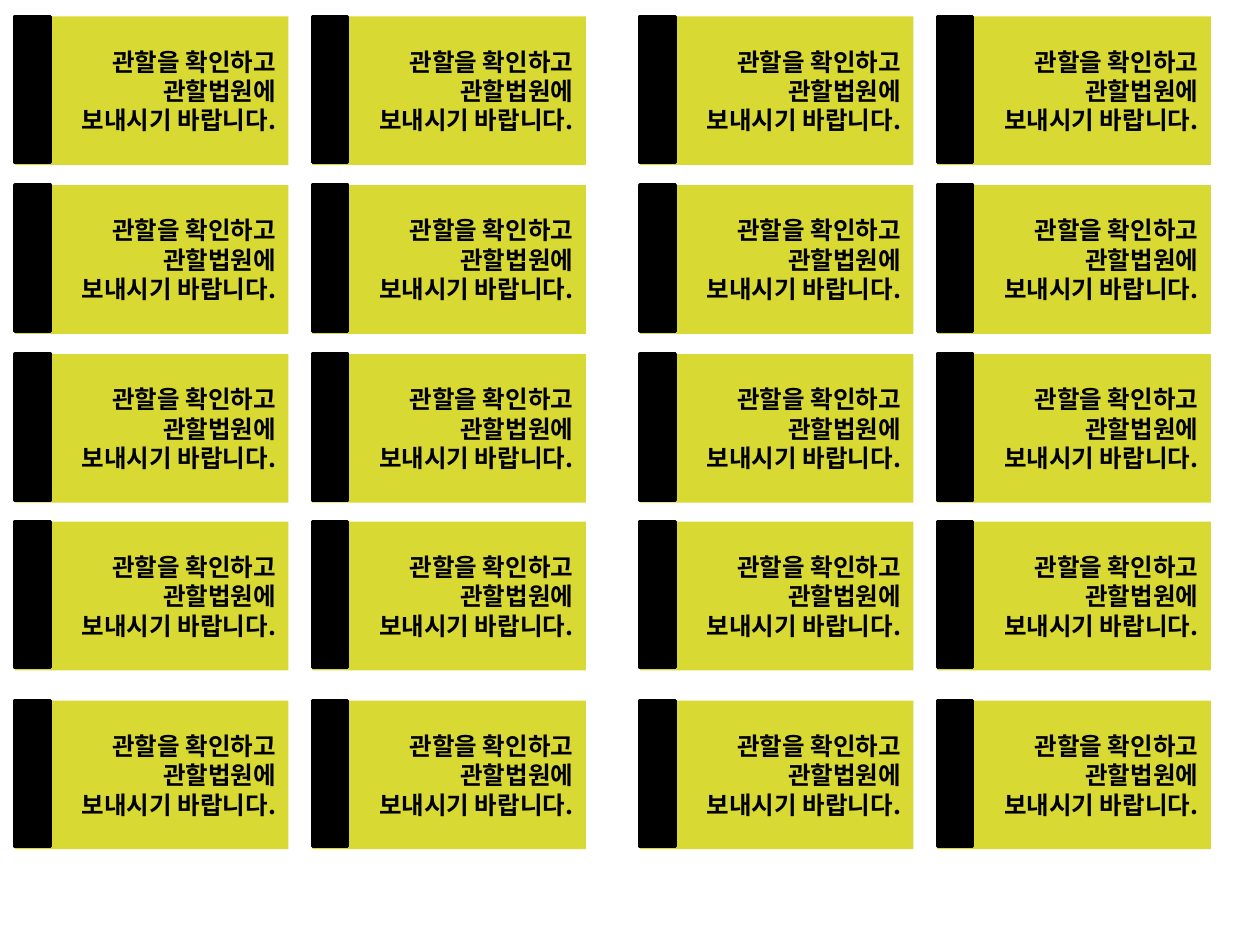
import pptx
import pptx.util
import pptx.dml.color
import pptx.enum.shapes
import pptx.enum.text
from lxml import etree
from pptx.oxml.ns import qn

Inches = pptx.util.Inches
RGBColor = pptx.dml.color.RGBColor
LIME = RGBColor(0xD9, 0xD9, 0x33)
BLACK = RGBColor(0, 0, 0)
FONT = "Noto Sans CJK KR"
LINES = ["관할을 확인하고", "관할법원에", "보내시기 바랍니다."]

HALVES = [0.12, 5.08]
STEP = 2.36
ROWS = [0.13, 1.47, 2.81, 4.14, 5.56]

deck = pptx.Presentation()
deck.slide_width = Inches(10)
deck.slide_height = Inches(7.5)
slide = deck.slides.add_slide(deck.slide_layouts[6])


def add_box(left, top, width, height, color):
    """Add a plain filled rectangle without a shadow."""
    box = slide.shapes.add_shape(
        pptx.enum.shapes.MSO_SHAPE.RECTANGLE,
        Inches(left), Inches(top), Inches(width), Inches(height))
    box.shadow.inherit = False
    box.fill.solid()
    box.fill.fore_color.rgb = color
    return box


def add_text(card):
    """Write the three bold, right-aligned lines on a card."""
    frame = card.text_frame
    frame.word_wrap = True
    frame.vertical_anchor = pptx.enum.text.MSO_ANCHOR.MIDDLE
    for i, line in enumerate(LINES):
        para = frame.add_paragraph() if i else frame.paragraphs[0]
        para.alignment = pptx.enum.text.PP_ALIGN.RIGHT
        run = para.add_run()
        run.text = line
        run.font.size = pptx.util.Pt(14)
        run.font.bold = True
        run.font.color.rgb = BLACK
        run.font.name = FONT
        # Hangul takes its font from the East Asian typeface
        etree.SubElement(run.font._element, qn("a:ea"), typeface=FONT)


for half in HALVES:
    for top in ROWS:
        lefts = [half, half + STEP]
        for left in lefts:
            card = add_box(left, top, 2.17, 1.18, LIME)
            card.line.fill.background()
            add_text(card)
        for left in lefts:
            band = add_box(left, top, 0.28, 1.16, BLACK)
            band.line.color.rgb = BLACK
            band.line.width = pptx.util.Pt(2)

deck.save("out.pptx")
